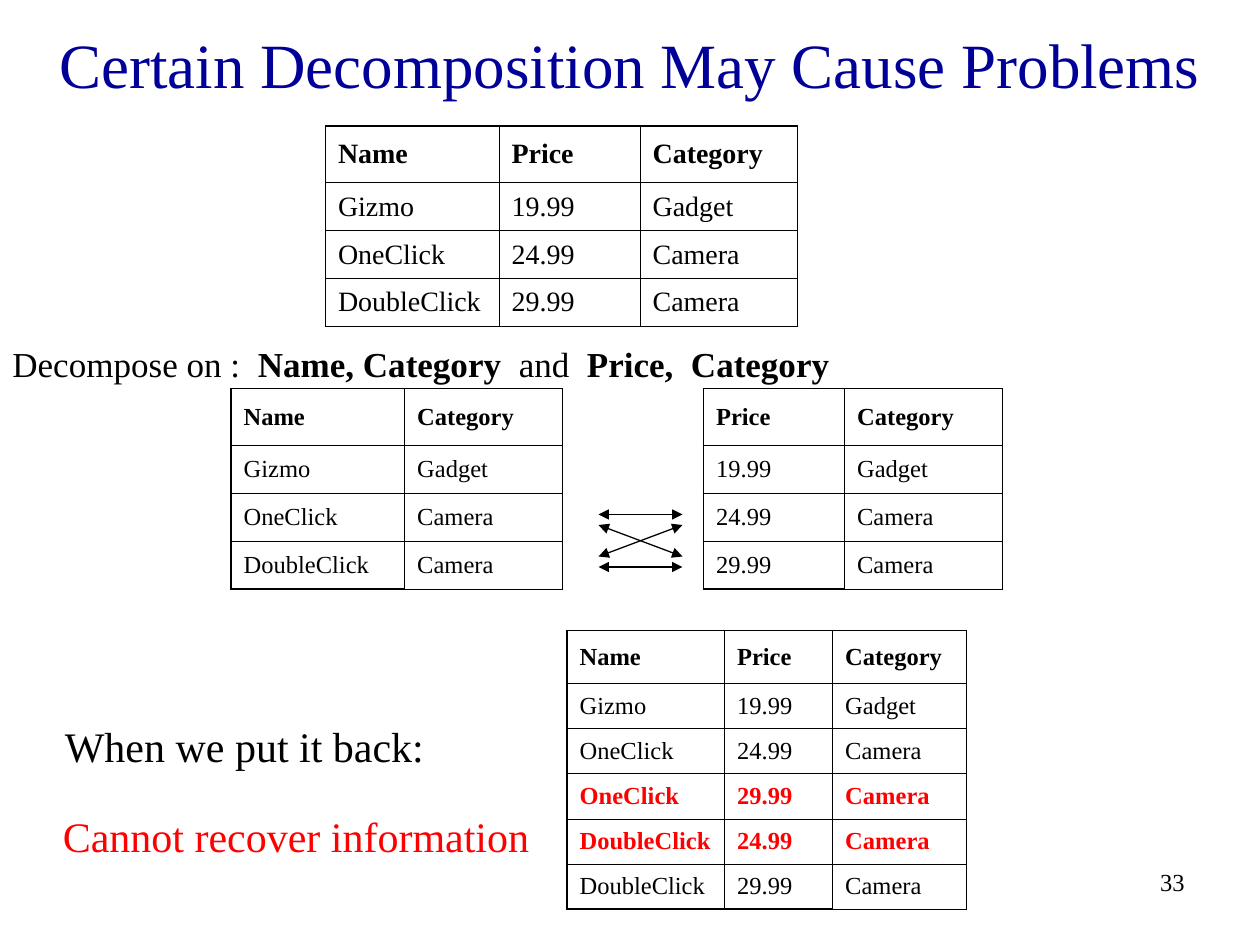
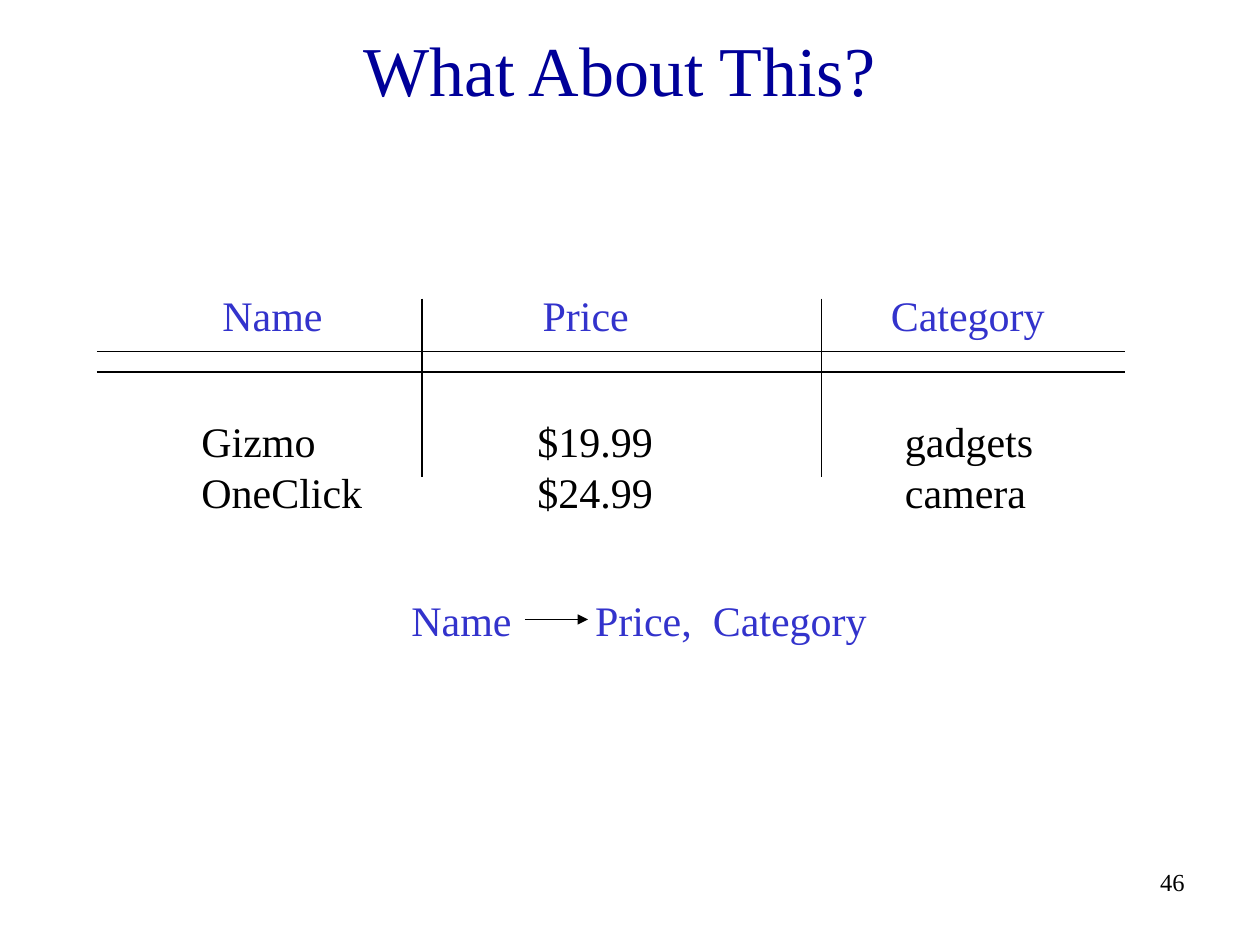
from lxml.etree import SubElement
from pptx import Presentation
from pptx.dml.color import RGBColor
from pptx.enum.shapes import MSO_CONNECTOR
from pptx.enum.text import MSO_ANCHOR, MSO_AUTO_SIZE, PP_ALIGN
from pptx.oxml import parse_xml
from pptx.oxml.ns import nsdecls, qn
from pptx.util import Pt

FONT = "Times New Roman"
BLACK, RED, NAVY, BLUE = "000000", "FF0000", "000099", "3333CC"


def style_run(run, size, color=BLACK, bold=False):
    run.font.name = FONT
    run.font.size = Pt(size)
    run.font.bold = bold
    run.font.color.rgb = RGBColor.from_string(color)


def add_text(slide, left, top, width, height, lines, size, color=BLACK, tabs=()):
    """Each line is a list of (text, bold) runs; tabs are distances from the text edge."""
    box = slide.shapes.add_textbox(Pt(left), Pt(top), Pt(width), Pt(height))
    frame = box.text_frame
    frame.word_wrap = True
    for index, line in enumerate(lines):
        paragraph = frame.paragraphs[0] if index == 0 else frame.add_paragraph()
        if tabs:
            tab_list = SubElement(paragraph._p.get_or_add_pPr(), qn("a:tabLst"))
            for position in tabs:
                SubElement(tab_list, qn("a:tab"), pos=str(Pt(position)), algn="l")
        for text, bold in line:
            run = paragraph.add_run()
            run.text = text
            style_run(run, size, color, bold)
    return box


presentation = Presentation()
presentation.slide_width, presentation.slide_height = Pt(720), Pt(540)

# Titles and slide numbers
slides = []
for title_text, number, size, left, top, width, height in [
    ("Certain Decomposition May Cause Problems", "33", 36, 12, 6, 696, 60),
    ("What About This?", "46", 40, 12, 12, 684, 54),
]:
    slide = presentation.slides.add_slide(presentation.slide_layouts[5])
    title = slide.shapes.title
    title.left, title.top, title.width, title.height = Pt(left), Pt(top), Pt(width), Pt(height)
    title.text_frame.text = title_text
    title.text_frame.auto_size = MSO_AUTO_SIZE.NONE
    title.text_frame.vertical_anchor = MSO_ANCHOR.MIDDLE
    title.text_frame.paragraphs[0].alignment = PP_ALIGN.CENTER
    style_run(title.text_frame.paragraphs[0].runs[0], size, NAVY)
    number_box = add_text(slide, 534, 492, 150, 36, [[(number, False)]], 14)
    number_box.text_frame.paragraphs[0].alignment = PP_ALIGN.RIGHT
    slides.append(slide)
decomposition_slide, question_slide = slides

# Slide 1: relation, its two projections, and their join
relation = [
    ("Name", "Price", "Category"),
    ("Gizmo", "19.99", "Gadget"),
    ("OneClick", "24.99", "Camera"),
    ("DoubleClick", "29.99", "Camera"),
]
name_category = [(name, category) for name, price, category in relation]
price_category = [(price, category) for name, price, category in relation]
spurious_rows = [("OneClick", "29.99", "Camera"), ("DoubleClick", "24.99", "Camera")]
joined = relation[:3] + spurious_rows + relation[3:]

# left, top, column widths, header height, row height, text size, boxed, rows
tables = [
    (186, 72, (99.2, 80.6, 90), 32.4, 27.4, 16, True, relation),
    (132, 222, (99.2, 90.4), 32.4, 27.4, 14, False, name_category),
    (402, 222, (80.6, 90.4), 32.4, 27.4, 14, False, price_category),
    (324, 360, (90, 61.8, 76.6), 30.6, 25.8, 14, False, joined),
]
for left, top, widths, header_height, row_height, size, boxed, rows in tables:
    heights = [header_height] + [row_height] * (len(rows) - 1)
    table = decomposition_slide.shapes.add_table(
        len(rows), len(widths), Pt(left), Pt(top), Pt(sum(widths)), Pt(sum(heights))
    ).table
    table.first_row = table.horz_banding = False
    for column, width in zip(table.columns, widths):
        column.width = Pt(width)
    last_row, last_column = len(rows) - 1, len(widths) - 1
    for row_index, values in enumerate(rows):
        table.rows[row_index].height = Pt(heights[row_index])
        spurious = values in spurious_rows
        for column_index, value in enumerate(values):
            cell = table.cell(row_index, column_index)
            cell.fill.background()
            cell.vertical_anchor = MSO_ANCHOR.MIDDLE
            cell.text_frame.text = value
            style_run(cell.text_frame.paragraphs[0].runs[0], size,
                      RED if spurious else BLACK, spurious or row_index == 0)

            # Heavy outer borders: all round when boxed, else left and bottom
            heavy = {
                "lnL": column_index == 0,
                "lnR": boxed and column_index == last_column,
                "lnT": boxed and row_index <= 1,
                "lnB": (row_index == last_row and (boxed or column_index < last_column))
                or (boxed and row_index == 0),
            }
            properties = cell._tc.get_or_add_tcPr()
            for position, (side, is_heavy) in enumerate(heavy.items()):
                line_width = (0.75 if boxed else 1.08) if is_heavy else 0.45
                properties.insert(position, parse_xml(
                    f'<a:{side} {nsdecls("a")} w="{Pt(line_width)}"><a:solidFill>'
                    f'<a:srgbClr val="{BLACK}"/></a:solidFill></a:{side}>'))

# Slide 1: captions
decompose_line = [("Decompose on :  ", False), ("Name, Category  ", True),
                  ("and  ", False), ("Price,  Category", True)]
add_text(decomposition_slide, 0, 192, 486, 32, [decompose_line], 20)
add_text(decomposition_slide, 30, 408, 222, 36, [[("When we put it back:", False)]], 24)
add_text(decomposition_slide, 28.8, 459.5, 284, 36,
         [[("Cannot recover information", False)]], 24, RED)

# Slide 2: tabbed relation and its functional dependency
add_text(question_slide, 120, 162, 488, 36,
         [[("Name\tPrice\tCategory", False)]], 24, BLUE, (183, 382))
add_text(question_slide, 108, 234, 492, 65,
         [[("Gizmo\t$19.99\tgadgets", False)], [("OneClick\t$24.99\tcamera", False)]],
         24, BLACK, (192, 402))
add_text(question_slide, 228, 336, 278, 36,
         [[("Name\tPrice,  Category", False)]], 24, BLUE, (105,))

# Lines: slide, start x, start y, end x, end y, arrowheads
both_ends = ("headEnd", "tailEnd")
lines = [(decomposition_slide, 342, start, 390, end, both_ends)
         for start, end in [(294, 294), (324, 324), (318, 300), (300, 318)]]
lines += [(question_slide, 55.4, y, 643, y, ()) for y in (200.8, 212.6)]
lines += [(question_slide, x, 170.6, x, 272.8, ()) for x in (241.2, 469.4)]
lines.append((question_slide, 300, 354, 336, 354, ("tailEnd",)))
for slide, start_x, start_y, end_x, end_y, arrowheads in lines:
    connector = slide.shapes.add_connector(
        MSO_CONNECTOR.STRAIGHT, Pt(start_x), Pt(start_y), Pt(end_x), Pt(end_y))
    connector.line.color.rgb = RGBColor.from_string(BLACK)
    connector.line.width = Pt(0.75)
    for end in arrowheads:
        SubElement(connector.line._get_or_add_ln(), qn(f"a:{end}"), type="triangle")
    SubElement(connector._element.spPr, qn("a:effectLst"))

presentation.save("out.pptx")
